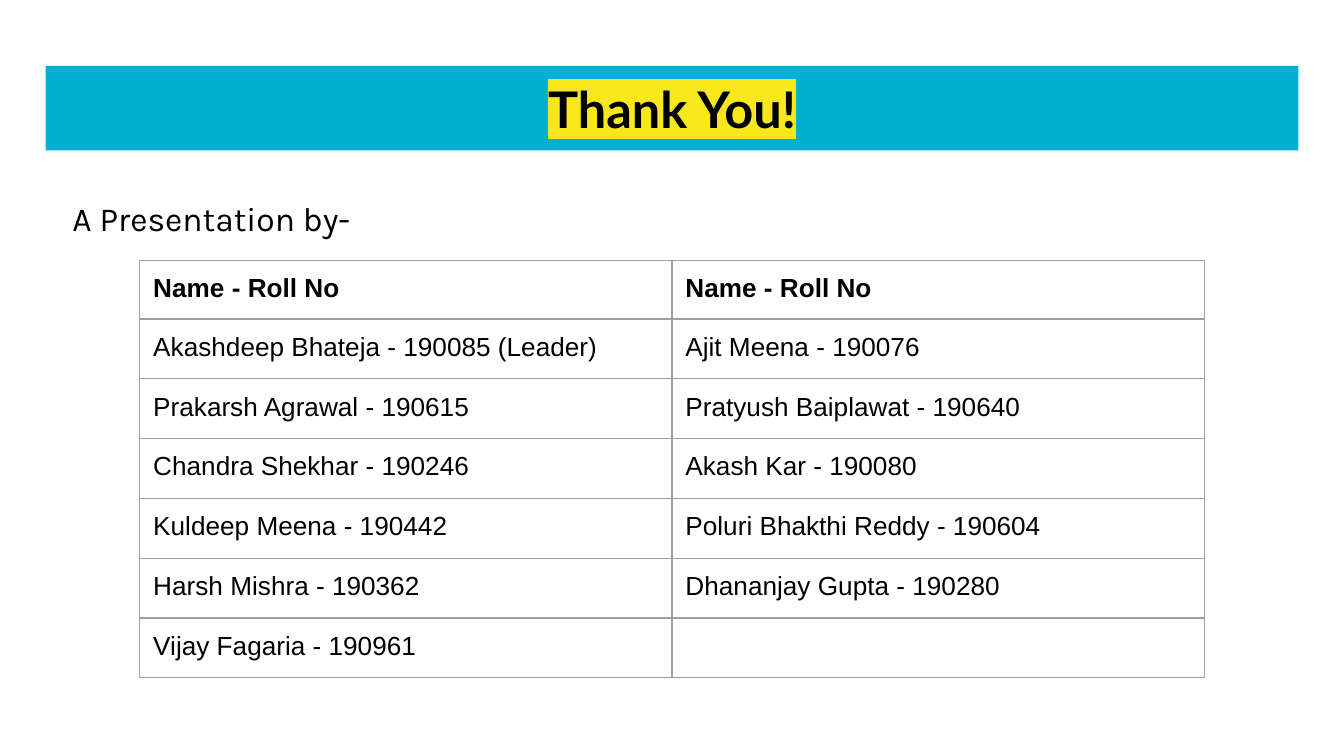
from lxml import etree
from pptx import Presentation
from pptx.dml.color import RGBColor
from pptx.enum import shapes, text
from pptx.oxml import ns
from pptx.util import Inches, Pt

BLACK = RGBColor(0x00, 0x00, 0x00)
TEAL = RGBColor(0x01, 0xAF, 0xD1)
YELLOW = RGBColor(0xF8, 0xE7, 0x1C)
GREY = RGBColor(0x9E, 0x9E, 0x9E)
INSET = Inches(0.1)
HEADING = "Name - Roll No"
MEMBERS = [
    (HEADING, HEADING),
    ("Akashdeep Bhateja - 190085 (Leader)", "Ajit Meena - 190076"),
    ("Prakarsh Agrawal - 190615", "Pratyush Baiplawat - 190640"),
    ("Chandra Shekhar - 190246", "Akash Kar - 190080"),
    ("Kuldeep Meena - 190442", "Poluri Bhakthi Reddy - 190604"),
    ("Harsh Mishra - 190362", "Dhananjay Gupta - 190280"),
    ("Vijay Fagaria - 190961", ""),
]


def style(font, name, size, bold=False):
    font.size = Pt(size)
    font.bold = bold
    font.color.rgb = BLACK
    font.name = name


def set_insets(holder):
    holder.margin_left = holder.margin_right = INSET
    holder.margin_top = holder.margin_bottom = INSET


def add_color(parent, color):
    etree.SubElement(parent, ns.qn("a:srgbClr"), val=str(color))


def add_banner(slide, left, top, width, height):
    banner = slide.shapes.add_shape(
        shapes.MSO_SHAPE.RECTANGLE,
        Inches(left), Inches(top), Inches(width), Inches(height))
    banner.shadow.inherit = False
    banner.fill.solid()
    banner.fill.fore_color.rgb = TEAL
    banner.line.fill.background()
    frame = banner.text_frame
    set_insets(frame)
    frame.vertical_anchor = text.MSO_ANCHOR.MIDDLE
    paragraph = frame.paragraphs[0]
    paragraph.alignment = text.PP_ALIGN.CENTER
    thanks = paragraph.add_run()
    thanks.text = "Thank You!"
    style(thanks.font, "Lato", 27, bold=True)
    highlight = etree.Element(ns.qn("a:highlight"))
    add_color(highlight, YELLOW)
    thanks.font._element.find(ns.qn("a:solidFill")).addnext(highlight)


def add_byline(slide, left, top, width, height):
    frame = slide.shapes.add_textbox(
        Inches(left), Inches(top), Inches(width), Inches(height)).text_frame
    frame.word_wrap = True
    set_insets(frame)
    byline = frame.paragraphs[0]
    byline.text = "A Presentation by-"
    byline.line_spacing = 1.05
    byline.space_after = Pt(12)
    style(byline.font, "Karla", 18)


def add_borders(cell):
    properties = cell._tc.get_or_add_tcPr()
    for side in ("lnL", "lnR", "lnT", "lnB"):
        border = etree.SubElement(properties, ns.qn(f"a:{side}"), w=str(Pt(0.75)))
        add_color(etree.SubElement(border, ns.qn("a:solidFill")), GREY)


def add_members(slide, left, top, width, height, header_height):
    table = slide.shapes.add_table(
        len(MEMBERS), 2,
        Inches(left), Inches(top), Inches(width), Inches(height)).table
    table.first_row = table.horz_banding = False
    row_height = (height - header_height) / (len(MEMBERS) - 1)
    for column in table.columns:
        column.width = Inches(width / 2)
    for r, entries in enumerate(MEMBERS):
        table.rows[r].height = Inches(row_height if r else header_height)
        for c, entry in enumerate(entries):
            cell = table.cell(r, c)
            add_borders(cell)
            cell.fill.background()
            if entry:
                set_insets(cell)
                cell.text = entry
            style(cell.text_frame.paragraphs[0].font, "Arial", 14, bold=r == 0)


def main():
    deck = Presentation()
    deck.slide_width = Inches(10)
    deck.slide_height = deck.slide_width * 9 // 16
    slide = deck.slides.add_slide(deck.slide_layouts[6])
    add_banner(slide, 0.34, 0.49, 9.32, 0.63)
    add_byline(slide, 0.44, 1.36, 2.85, 0.7)
    add_members(slide, 1.04, 1.94, 7.92, 3.09, 0.42)
    deck.save("out.pptx")


if __name__ == "__main__":
    main()
